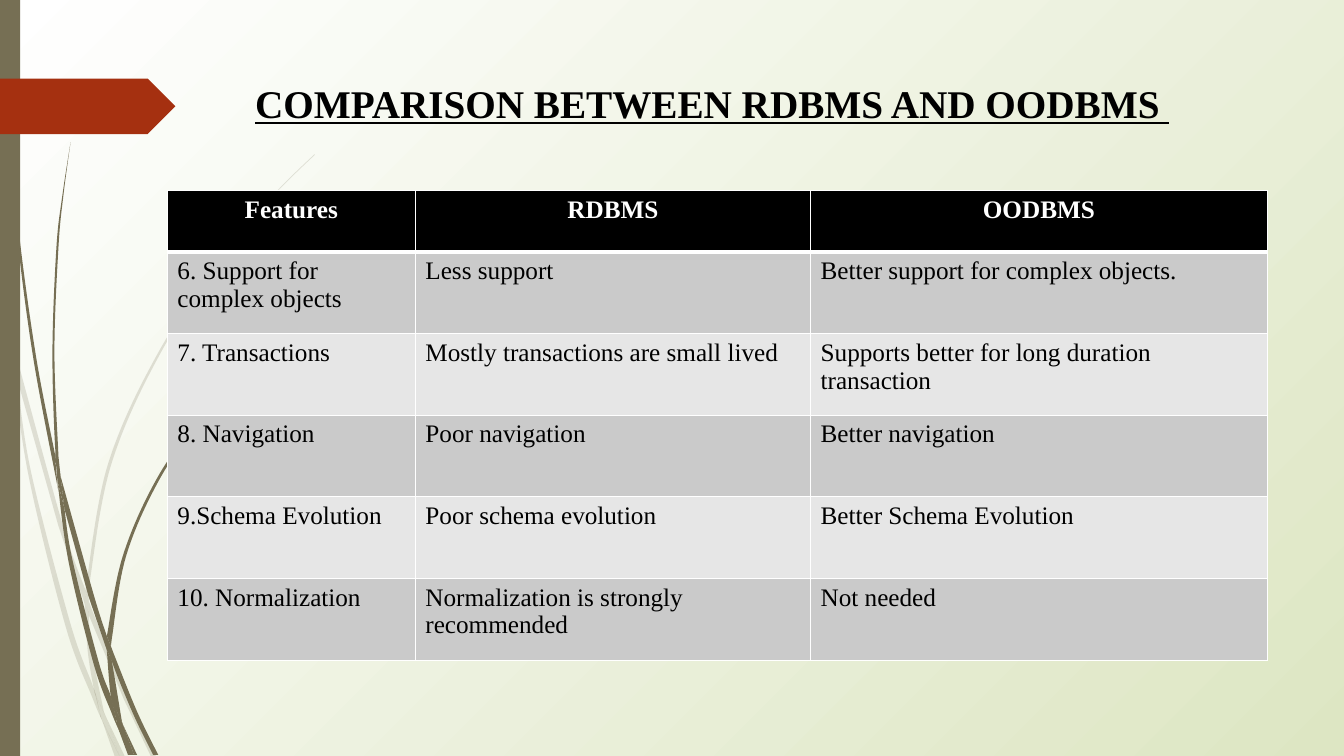
from dataclasses import dataclass

import lxml.etree
import pptx
import pptx.dml.color
import pptx.enum.shapes
import pptx.enum.text
import pptx.oxml.ns
import pptx.util

Inches = pptx.util.Inches
qn = pptx.oxml.ns.qn
ALIGN = pptx.enum.text.PP_ALIGN


@dataclass(frozen=True)
class Theme:
    font: str = "Times New Roman"
    title_size: int = 28
    table_size: int = 18
    text: str = "000000"
    header_text: str = "FFFFFF"
    header_fill: str = "000000"
    bands: tuple = ("CACACA", "E6E6E6")
    rule: str = "FFFFFF"
    grass: str = "766F54"
    banner: str = "A53010"
    glow: tuple = ("FFFFFF", "DDE6C3")


THEME = Theme()

# Each piece of grass: one edge going down and the other edge going back.
PALE_GRASS = [
    ([(0.11, 3.5), (0.09, 3.22), (0, 2.82)], [(0, 2.99), (0.1, 3.44)]),
    ([(0.58, 5.22), (0.84, 5.99)], [(0.85, 5.86), (0.62, 5.2), (0.14, 3.45)], [(0.17, 3.76)]),
    ([(0.88, 5.96), (0.88, 6.1)], [(1.23, 6.94), (1.5, 7.51)], [(1.55, 7.51), (1.27, 6.92), (0.92, 6.07)]),
    ([(1.19, 7.51), (1.24, 7.51)], [(1.05, 7.11)]),
    ([(0.11, 3.5), (0.28, 4.7), (0.65, 6.21), (0.92, 6.93), (1.01, 7.14)],
     [(0.99, 7.07), (0.93, 6.83), (0.7, 6.19), (0.31, 4.69), (0.17, 3.76)]),
    ([(0.84, 5.99), (0.87, 6.46), (0.93, 6.83), (0.96, 6.92), (1.05, 7.11)],
     [(1.03, 7.06), (0.91, 6.46), (0.88, 6.1), (0.88, 6.08)]),
    ([(3.12, 1.53), (2.89, 1.75), (2.68, 1.97), (2.28, 2.44), (1.58, 3.48), (1.07, 4.61), (0.85, 5.84)],
     [(0.85, 5.86), (0.88, 5.96)],
     [(0.88, 5.84), (1.1, 4.62), (1.6, 3.49), (2.29, 2.45), (2.68, 1.98), (2.9, 1.75), (3.12, 1.54)]),
    ([(1.01, 7.14), (1.14, 7.51)], [(1.19, 7.51)]),
    ([(0.88, 6.08), (0.88, 6.1), (0.88, 5.96)], [(0.85, 5.86), (0.84, 5.99)]),
    ([(0.93, 6.83), (0.99, 7.07), (1.01, 7.14), (1.19, 7.51)], [(1.05, 7.11), (0.96, 6.92)]),
]
DARK_GRASS = [
    ([(0.03, 0), (0.04, 0.48), (0.07, 1.1), (0.17, 2.33), (0.33, 3.55), (0.56, 4.77), (0.57, 4.81)],
     [(0.55, 4.57), (0.55, 4.53), (0.36, 3.55), (0.19, 2.32), (0.08, 1.09), (0.05, 0.48), (0.04, 0)]),
    ([(0.6, 4.72), (0.64, 5.05)], [(0.88, 5.92), (1.06, 6.45)], [(1.06, 6.31), (0.93, 5.9), (0.6, 4.72)]),
    ([(1.1, 6.41), (1.11, 6.56), (1.32, 7.08), (1.52, 7.49)], [(1.57, 7.49), (1.36, 7.06), (1.13, 6.49)]),
    ([(0.57, 4.77), (0.68, 5.57), (0.93, 6.59), (1.11, 7.08), (1.17, 7.22)],
     [(1.16, 7.17), (1.1, 6.91), (0.98, 6.57), (0.72, 5.56), (0.64, 5.05)]),
    ([(0.7, 1.41), (0.62, 1.93), (0.56, 2.45), (0.52, 3.49), (0.55, 4.49), (0.6, 4.72)],
     [(0.58, 4.53), (0.54, 3.49), (0.58, 2.45), (0.63, 1.93), (0.7, 1.41)]),
    ([(1.33, 7.49), (1.36, 7.49)], [(1.22, 7.19)]),
    ([(0.57, 4.77), (0.64, 5.05)], [(0.6, 4.72), (0.55, 4.49)], [(0.55, 4.53)]),
    ([(2.6, 3.44), (2.45, 3.58), (2.31, 3.73), (2.04, 4.05), (1.56, 4.74), (1.22, 5.51), (1.06, 6.31)],
     [(1.1, 6.41)],
     [(1.11, 6.33), (1.25, 5.52), (1.58, 4.76), (2.05, 4.06), (2.31, 3.74), (2.45, 3.59), (2.61, 3.44)]),
    ([(1.17, 7.22), (1.27, 7.49)], [(1.31, 7.49)]),
    ([(1.06, 6.45), (1.1, 6.91), (1.16, 7.06), (1.22, 7.19)], [(1.21, 7.16), (1.11, 6.56), (1.09, 6.51)]),
    ([(1.06, 6.45), (1.09, 6.51), (1.11, 6.56)], [(1.1, 6.41), (1.06, 6.31)]),
    ([(1.1, 6.91), (1.16, 7.17), (1.17, 7.22), (1.3, 7.49)], [(1.33, 7.49), (1.22, 7.19), (1.16, 7.06)]),
]

COLUMN_WIDTHS = (2.46, 3.92, 4.53)
HEADER_HEIGHT, ROW_HEIGHT = 0.61, 0.81
COMPARISON = [
    ("Features", "RDBMS", "OODBMS"),
    ("6. Support for complex objects", "Less support", "Better support for complex objects."),
    ("7. Transactions", "Mostly transactions are small lived",
     "Supports better for long duration transaction"),
    ("8. Navigation", "Poor navigation", "Better navigation"),
    ("9.Schema Evolution", "Poor schema evolution", "Better Schema Evolution"),
    ("10. Normalization", "Normalization is strongly recommended", "Not needed"),
]


def rgb(code):
    return pptx.dml.color.RGBColor.from_string(code)


def paint(shape, color, opacity=100):
    shape.shadow.inherit = False
    shape.line.fill.background()
    shape.fill.solid()
    shape.fill.fore_color.rgb = rgb(color)
    if opacity < 100:
        solid = shape.element.spPr.find(qn("a:solidFill"))
        lxml.etree.SubElement(solid[0], qn("a:alpha"), val=str(opacity * 1000))


def write(paragraph, text, size, color, bold=False, underline=False):
    run = paragraph.add_run()
    run.text = text
    run.font.name = THEME.font
    run.font.size = pptx.util.Pt(size)
    run.font.bold = bold
    run.font.underline = underline
    run.font.color.rgb = rgb(color)


def bend(shape, edges):
    """Turn the straight segments inside each edge into Catmull-Rom curves."""
    nodes = list(shape.element.iter(qn("a:pt")))
    places = [(int(node.get("x")), int(node.get("y"))) for node in nodes]
    first = 0
    for edge in edges:
        last = first + len(edge) - 1
        for i in range(first + 1, last + 1):
            before, start, end = places[max(i - 2, first)], places[i - 1], places[i]
            after = places[min(i + 1, last)]
            segment = nodes[i].getparent()
            segment.tag = qn("a:cubicBezTo")
            controls = [[s + (e - b) / 6 for b, s, e in zip(before, start, end)],
                        [e - (a - s) / 6 for s, e, a in zip(start, end, after)]]
            for position, (x, y) in enumerate(controls):
                handle = lxml.etree.Element(qn("a:pt"), x=str(round(x)), y=str(round(y)))
                segment.insert(position, handle)
        first = last + 1


def draw_grass(slide, pieces, left, top, opacity=100):
    for edges in pieces:
        outline = [(Inches(left + x), Inches(top + y)) for edge in edges for x, y in edge]
        builder = slide.shapes.build_freeform(*outline[0])
        builder.add_line_segments(outline[1:])
        piece = builder.convert_to_shape()
        bend(piece, edges)
        paint(piece, THEME.grass, opacity)


def draw_background(slide):
    """Fill the slide with a radial glow from the top left corner."""
    fill = slide.background.fill
    fill.gradient()
    for stop, color in zip(fill.gradient_stops, THEME.glow):
        stop.color.rgb = rgb(color)
    gradient = slide.element.find(".//" + qn("a:gradFill"))
    gradient.remove(gradient.find(qn("a:lin")))
    circle = lxml.etree.SubElement(gradient, qn("a:path"), path="circle")
    lxml.etree.SubElement(circle, qn("a:fillToRect"), r="100000", b="100000")


def draw_margin(slide, left, top, height):
    """Draw the grass, the edge bar and the pointed banner."""
    kinds = pptx.enum.shapes.MSO_SHAPE
    draw_grass(slide, PALE_GRASS, left, top, opacity=20)
    draw_grass(slide, DARK_GRASS, left, top)
    bar = slide.shapes.add_shape(kinds.RECTANGLE, Inches(left), Inches(top), Inches(0.2), Inches(height))
    paint(bar, THEME.grass)
    banner = slide.shapes.add_shape(
        kinds.PENTAGON, Inches(left), Inches(top + 0.78), Inches(1.74), Inches(0.55))
    paint(banner, THEME.banner)


def place_title(slide, left, top, width, height):
    title = slide.shapes.title
    title.left, title.top = Inches(left), Inches(top)
    title.width, title.height = Inches(width), Inches(height)
    frame = title.text_frame
    frame.word_wrap = True
    frame.auto_size = pptx.enum.text.MSO_AUTO_SIZE.NONE
    frame.vertical_anchor = pptx.enum.text.MSO_ANCHOR.TOP
    heading = frame.paragraphs[0]
    heading.alignment = ALIGN.LEFT
    write(heading, "COMPARISON BETWEEN RDBMS AND OODBMS ", THEME.title_size, THEME.text,
          bold=True, underline=True)


def place_comparison(slide, left, top):
    heights = [HEADER_HEIGHT] + [ROW_HEIGHT] * (len(COMPARISON) - 1)
    table = slide.shapes.add_table(
        len(COMPARISON), len(COLUMN_WIDTHS), Inches(left), Inches(top),
        Inches(sum(COLUMN_WIDTHS)), Inches(sum(heights))).table
    for column, width in zip(table.columns, COLUMN_WIDTHS):
        column.width = Inches(width)
    for index, (row, height, entries) in enumerate(zip(table.rows, heights, COMPARISON)):
        row.height = Inches(height)
        header = index == 0
        for cell, entry in zip(row.cells, entries):
            cell.fill.solid()
            cell.fill.fore_color.rgb = rgb(THEME.header_fill if header else THEME.bands[(index - 1) % 2])
            if header:
                rule = lxml.etree.Element(qn("a:lnB"), w=str(pptx.util.Pt(3)))
                ink = lxml.etree.SubElement(rule, qn("a:solidFill"))
                lxml.etree.SubElement(ink, qn("a:srgbClr"), val=THEME.rule)
                cell.fill.fore_color  # fill stays after the rule
                cell.text_frame.paragraphs[0].alignment = ALIGN.CENTER
                row_cell = cell.text_frame._txBody.getparent()
                row_cell.find(qn("a:tcPr")).insert(0, rule)
            write(cell.text_frame.paragraphs[0], entry, THEME.table_size,
                  THEME.header_text if header else THEME.text, bold=header)


def main():
    deck = pptx.Presentation()
    deck.slide_width, deck.slide_height = Inches(13.33), Inches(7.5)
    slide = deck.slides.add_slide(deck.slide_layouts[5])
    draw_background(slide)
    draw_margin(slide, 0, 0, 7.5)
    place_title(slide, 2.43, 0.74, 9.75, 0.78)
    place_comparison(slide, 1.66, 1.89)
    deck.save("out.pptx")


if __name__ == "__main__":
    main()
